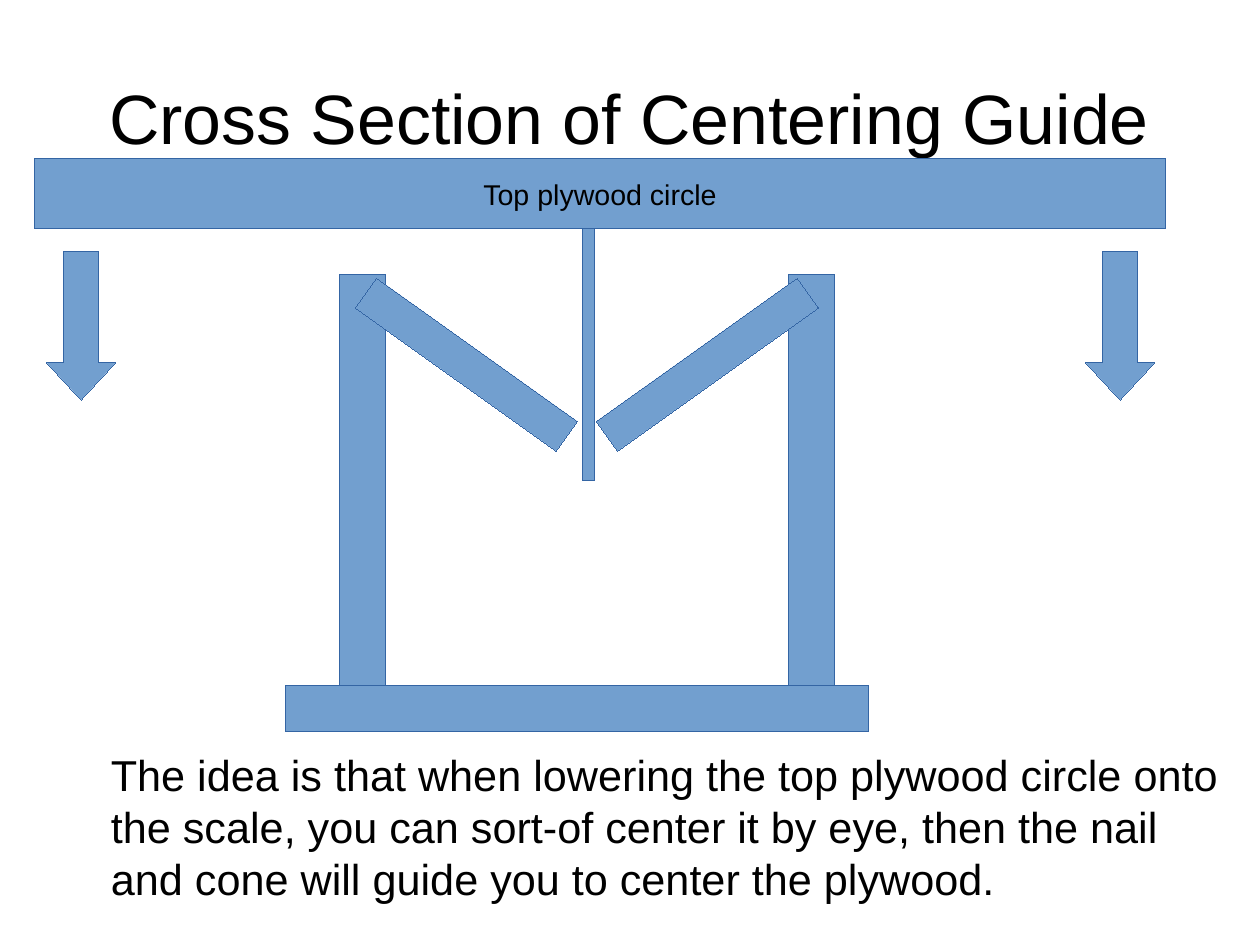
from dataclasses import dataclass

from pptx import Presentation
from pptx.dml.color import RGBColor
from pptx.enum.shapes import MSO_SHAPE
from pptx.enum.text import MSO_ANCHOR, PP_ALIGN
from pptx.util import Cm, Emu, Pt

RECT, DOWN_ARROW = MSO_SHAPE.RECTANGLE, MSO_SHAPE.DOWN_ARROW
TOP, MIDDLE = MSO_ANCHOR.TOP, MSO_ANCHOR.MIDDLE
LEFT, CENTER = PP_ALIGN.LEFT, PP_ALIGN.CENTER
BLANK = 6
EMU_PER_PX = 9144  # 100 px to the inch
HAIRLINE = Emu(1)


@dataclass(frozen=True)
class Theme:
    font: str = "Arial"
    text: RGBColor = RGBColor(0, 0, 0)
    fill: RGBColor = RGBColor(0x72, 0x9F, 0xCF)
    line: RGBColor = RGBColor(0x34, 0x65, 0xA4)
    title_size: float = 44
    body_size: float = 27.2
    label_size: float = 18


THEME = Theme()


def px(n):
    return Emu(n * EMU_PER_PX)


def write(tf, text, size, align=CENTER, anchor=MIDDLE, wrap=True):
    frame_format = {"word_wrap": wrap, "vertical_anchor": anchor,
                    "margin_left": 0, "margin_right": 0,
                    "margin_top": 0, "margin_bottom": 0}
    for name, value in frame_format.items():
        setattr(tf, name, value)
    p = tf.paragraphs[0]
    p.alignment = align
    r = p.add_run()
    r.text = text
    for name, value in {"name": THEME.font, "size": Pt(size)}.items():
        setattr(r.font, name, value)
    r.font.color.rgb = THEME.text


def add_part(s, box, kind=RECT, rotation=0):
    sp = s.shapes.add_shape(kind, *map(px, box))
    sp.shadow.inherit = False
    sp.fill.solid()
    sp.fill.fore_color.rgb = THEME.fill
    sp.line.color.rgb = THEME.line
    sp.line.width = HAIRLINE
    sp.rotation = rotation
    return sp


def add_title(s, box, text):
    tf = s.shapes.add_textbox(*map(px, box)).text_frame
    write(tf, text, THEME.title_size)


def add_explanation(s, box, text):
    x, y, w, h = box
    indent = 47
    tf = s.shapes.add_textbox(*map(px, (x + indent, y, w - indent, h))).text_frame
    write(tf, text, THEME.body_size, LEFT, TOP)


def add_guide_base(s, box):
    """Base board, with a post and a sloping arm on each side."""
    x, y, w, h = box
    thick, arm_w, arm_h, slope = 40, 216, 32, 35.5
    frame_x, frame_w = x + 47, 433
    arm_inset, arm_drop = 3, 63
    add_part(s, (x, y + h - thick, w, thick))
    for right in (True, False):
        post_x = frame_x + (frame_w - thick if right else 0)
        arm_x = frame_x + (frame_w - arm_w - arm_inset if right else arm_inset)
        add_part(s, (post_x, y, thick, h - thick))
        add_part(s, (arm_x, y + arm_drop, arm_w, arm_h),
                 rotation=-slope if right else slope)


def add_plywood(s, box, label):
    sp = add_part(s, box)
    write(sp.text_frame, label, THEME.label_size, wrap=False)


def add_lowering_arrows(s, box):
    """One downward arrow at each end of the box."""
    x, y, w, h = box
    arrow_w = 60
    for arrow_x in (x + w - arrow_w, x):
        sp = add_part(s, (arrow_x, y, arrow_w, h), DOWN_ARROW)
        sp.adjustments[0] = 0.5
        sp.adjustments[1] = 0.54


def main():
    prs = Presentation()
    prs.slide_width, prs.slide_height = Cm(28), Cm(21)
    s = prs.slides.add_slide(prs.slide_layouts[BLANK])

    # Nail, behind the plywood
    add_part(s, (510, 139, 10, 281))

    # Texts
    add_title(s, (55, 33, 992, 138), "Cross Section of Centering Guide")
    add_explanation(
        s, (50, 655, 1020, 143),
        "The idea is that when lowering the top plywood circle onto the scale, "
        "you can sort-of center it by eye, then the nail and cone will guide "
        "you to center the plywood.")

    # Cross section
    add_guide_base(s, (250, 240, 510, 400))
    add_plywood(s, (30, 139, 990, 61), "Top plywood circle")
    add_lowering_arrows(s, (41, 220, 969, 130))

    prs.save("out.pptx")


if __name__ == "__main__":
    main()
